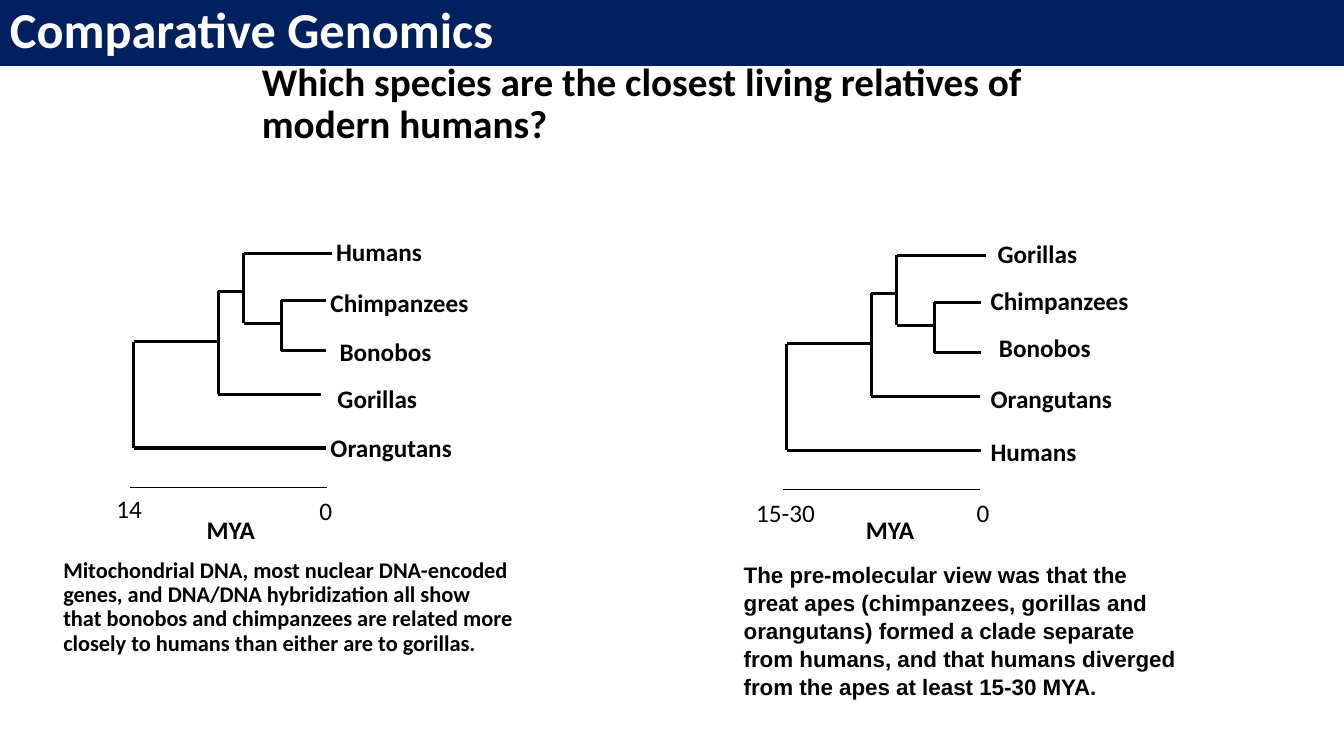
import pptx
import pptx.dml.color
import pptx.enum.shapes
import pptx.enum.text
import pptx.oxml
import pptx.util

Pt = pptx.util.Pt
MIDDLE = pptx.enum.text.MSO_ANCHOR.MIDDLE
BLACK = pptx.dml.color.RGBColor(0x00, 0x00, 0x00)
WHITE = pptx.dml.color.RGBColor(0xFF, 0xFF, 0xFF)
NAVY = pptx.dml.color.RGBColor(0x00, 0x20, 0x60)

INSET = 7.2
LABEL_HEIGHT = 29
LABEL_WIDTHS = {
    "Humans": 86,
    "Chimpanzees": 152,
    "Bonobos": 81,
    "Gorillas": 72,
    "Orangutans": 152,
    "MYA": 50,
    "14": 33,
    "15-30": 57,
    "0": 24,
}

# Horizontal positions of the splits, from the oldest to the youngest
ROOT, GREAT_APES, INNER, PAIR = 95.5, 156, 174, 201
# Heights of the five tips, from top to bottom, and of the branches between splits
TIP_HEIGHTS = (181, 214.5, 250.5, 281.5, 320)
INNER_STEM, PAIR_STEM, GREAT_APES_STEM = 208, 231, 244
AXIS_START, AXIS_END, AXIS_HEIGHT = 93, 233.5, 348


def write(frame, text, size, color=BLACK, bold=True, font="Calibri", spacing=None):
    frame.word_wrap = True
    para = frame.paragraphs[0]
    para.alignment = pptx.enum.text.PP_ALIGN.LEFT
    if spacing:
        para.line_spacing = spacing
    span = para.add_run()
    span.text = text
    span.font.name = font
    span.font.size = Pt(size)
    span.font.bold = bold
    span.font.color.rgb = color


def add_text(page, text, left, top, width, height, size, **style):
    box = page.shapes.add_textbox(Pt(left), Pt(top), Pt(width), Pt(height))
    write(box.text_frame, text, size, **style)
    return box.text_frame


def add_label(page, text, left, top, bold=True):
    frame = add_text(page, text, left, top, LABEL_WIDTHS[text], LABEL_HEIGHT, 18, bold=bold)
    frame.margin_right = 0


def add_caption(page, text, left, indent, **style):
    frame = add_text(page, text, left, 396, 354, 102, 16, **style)
    frame.margin_left = Pt(INSET + indent)


def add_line(page, start, end, weight=2.25):
    line = page.shapes.add_connector(
        pptx.enum.shapes.MSO_CONNECTOR.STRAIGHT, *(Pt(value) for value in (*start, *end))
    )
    line.line.color.rgb = BLACK
    line.line.width = Pt(weight)
    properties = line._element.spPr
    properties.append(properties.makeelement(pptx.oxml.ns.qn("a:effectLst"), {}))


def add_tree(page, shift_x, shift_y, tip_ends, labels):
    """Draw the branches, time axis and labels; labels are (text, left, top)."""
    first, second, third, fourth, fifth = TIP_HEIGHTS
    splits = (INNER, PAIR, PAIR, GREAT_APES, ROOT)
    tips = [
        (split, height, end, height)
        for split, height, end in zip(splits, TIP_HEIGHTS, tip_ends)
    ]
    stems = [
        (ROOT, GREAT_APES_STEM, GREAT_APES, GREAT_APES_STEM),
        (GREAT_APES, INNER_STEM, INNER, INNER_STEM),
        (INNER, PAIR_STEM, PAIR, PAIR_STEM),
    ]
    forks = [
        (ROOT, GREAT_APES_STEM, ROOT, fifth),
        (GREAT_APES, INNER_STEM, GREAT_APES, fourth),
        (INNER, first, INNER, PAIR_STEM),
        (PAIR, second, PAIR, third),
    ]

    def place(x, y):
        return x + shift_x, y + shift_y

    for x1, y1, x2, y2 in tips + stems + forks:
        add_line(page, place(x1, y1), place(x2, y2))
    add_line(page, place(AXIS_START, AXIS_HEIGHT), place(AXIS_END, AXIS_HEIGHT), 0.75)
    for text, left, top in labels:
        add_label(page, text, left, top, bold=text.isalpha())


def add_header(page):
    bar = page.shapes.add_shape(
        pptx.enum.shapes.MSO_SHAPE.RECTANGLE, 0, 0, Pt(960), Pt(46)
    )
    bar.shadow.inherit = False
    bar.fill.solid()
    bar.fill.fore_color.rgb = NAVY
    bar.line.color.rgb = NAVY
    bar.line.width = Pt(2.25)
    bar.text_frame.vertical_anchor = MIDDLE
    write(bar.text_frame, "Comparative Genomics", 36, color=WHITE, spacing=0.9)


def main():
    deck = pptx.Presentation()
    deck.slide_width, deck.slide_height = Pt(960), Pt(540)
    page = deck.slides.add_slide(deck.slide_layouts[6])

    question = add_text(
        page,
        "Which species are the closest living relatives of modern humans?",
        180, 30, 612, 90, 28, spacing=0.9,
    )
    question.vertical_anchor = MIDDLE

    add_tree(page, 0, 0, (237, 233, 233, 229, 233), [
        ("Humans", 233, 165),
        ("Chimpanzees", 229, 201.5),
        ("Bonobos", 235.5, 237),
        ("Gorillas", 234, 270),
        ("Orangutans", 229, 305.5),
        ("14", 76, 348.5),
        ("0", 221, 350),
        ("MYA", 140.5, 363.5),
    ])
    add_tree(page, 466.5, 1.5, (238, 234, 234, 233.5, 234.5), [
        ("Gorillas", 705.5, 166.5),
        ("Chimpanzees", 700.5, 200),
        ("Bonobos", 706.5, 233.5),
        ("Orangutans", 700.5, 270),
        ("Humans", 700.5, 308),
        ("15-30", 533, 351.5),
        ("0", 690.5, 351.5),
        ("MYA", 611.5, 363.5),
    ])

    add_caption(
        page,
        "Mitochondrial DNA, most nuclear DNA-encoded genes, and DNA/DNA hybridization "
        "all show that bonobos and chimpanzees are related more closely to humans "
        "than either are to gorillas.",
        20, 18, spacing=0.9,
    )
    add_caption(
        page,
        "The pre-molecular view was that the great apes (chimpanzees, gorillas and "
        "orangutans) formed a clade separate from humans, and that humans diverged "
        "from the apes at least 15-30 MYA.",
        497, 27, font="Arial", spacing=1.05,
    )
    add_header(page)
    deck.save("out.pptx")


if __name__ == "__main__":
    main()
